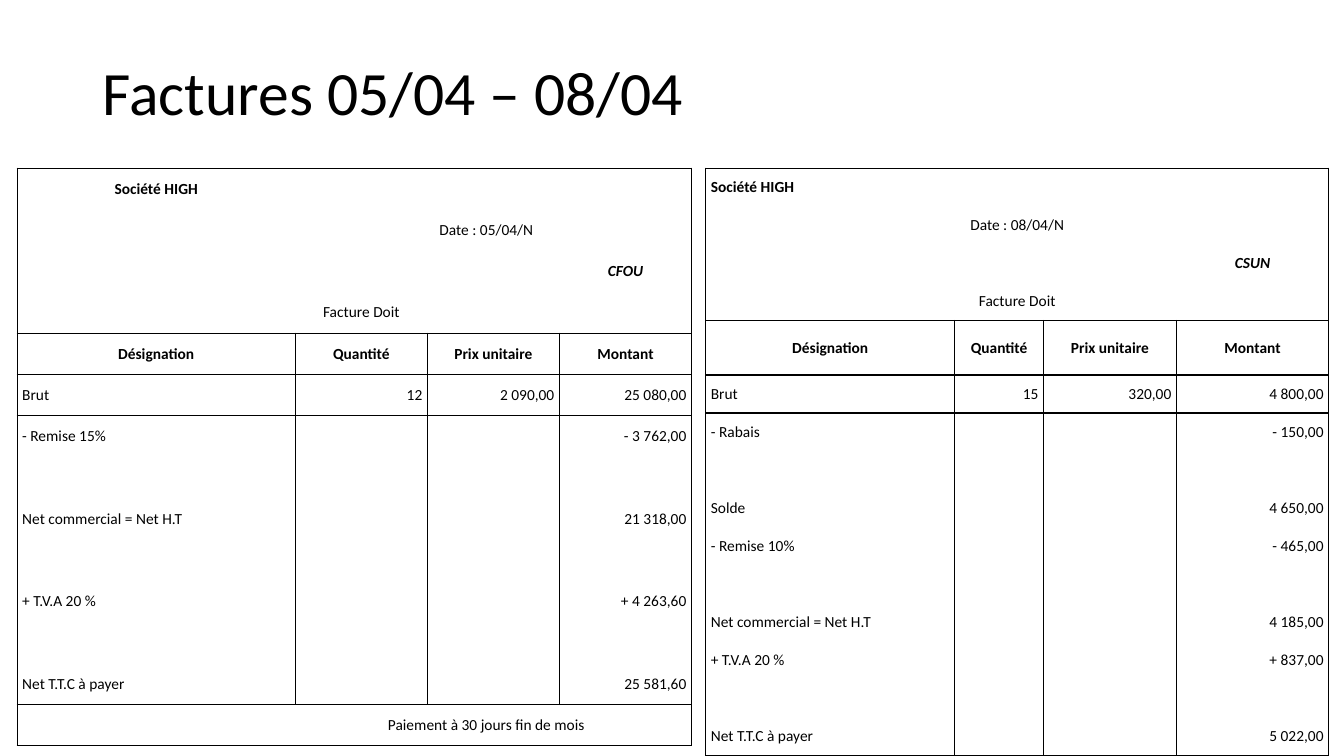
from lxml import etree
from pptx import Presentation
from pptx.dml.color import RGBColor
from pptx.enum.text import MSO_ANCHOR, PP_ALIGN
from pptx.oxml.ns import qn
from pptx.util import Inches, Pt

LEFT, CENTER, RIGHT = PP_ALIGN.LEFT, PP_ALIGN.CENTER, PP_ALIGN.RIGHT
MIDDLE = MSO_ANCHOR.MIDDLE
NO_STYLE = "{2D5ABB26-0587-4C30-8999-92F81FD0307C}"
PLAIN = {}
BOLD = {"bold": True}
CUSTOMER = {"bold": True, "italic": True}
HEADINGS = ["Désignation", "Quantité", "Prix unitaire", "Montant"]
HEADING_ROW = 4


def color(value):
    return RGBColor.from_string(value)


class InvoiceSlide:
    font = "Calibri"
    ink = "000000"
    size = 11

    def __init__(self, prs):
        self.s = prs.slides.add_slide(prs.slide_layouts[6])

    def add_text(self, p, text, align, **formats):
        p.alignment = align
        r = p.add_run()
        r.text = text
        for name, value in {"name": self.font, "size": Pt(self.size), **formats}.items():
            setattr(r.font, name, value)
        r.font.color.rgb = color(self.ink)

    def title(self, text, left, top, width, height):
        sp = self.s.shapes.add_textbox(*map(Inches, (left, top, width, height)))
        tf = sp.text_frame
        tf.word_wrap = True
        tf.vertical_anchor = MIDDLE
        tf.paragraphs[0].line_spacing = 0.9
        self.add_text(tf.paragraphs[0], text, LEFT, size=Pt(44))

    def borders(self, cell, sides):
        tcPr = cell._tc.get_or_add_tcPr()
        for side in "LRTB":
            if side in sides:
                ln = etree.SubElement(tcPr, qn(f"a:ln{side}"), w=str(Pt(1)))
                fill = etree.SubElement(ln, qn("a:solidFill"))
                etree.SubElement(fill, qn("a:srgbClr"), val=self.ink)
        cell.fill.background()

    def group(self, table, row, start, span, edges, gridded):
        end = start + span - 1
        last_col = len(table.columns) - 1
        across = ("T" if row in edges else "") + ("B" if row + 1 in edges else "")
        for col in range(start, end + 1):
            cell = table.cell(row, col)
            cell.vertical_anchor = MIDDLE
            cell.margin_left = cell.margin_right = Inches(0.05)
            cell.margin_top = cell.margin_bottom = 0
            sides = across
            if col == start and (gridded or start == 0):
                sides += "L"
            if col in (start, end) and (gridded or end == last_col):
                sides += "R"
            self.borders(cell, sides)
        if span > 1:
            table.cell(row, start).merge(table.cell(row, end))

    def invoice(self, left, top, widths, heights, rows, body_end):
        frame = self.s.shapes.add_table(
            len(rows), len(widths), Inches(left), Inches(top),
            Inches(sum(widths)), Inches(sum(heights)))
        table = frame.table
        table.first_row = table.horz_banding = False
        table._tbl.tblPr.find(qn("a:tableStyleId")).text = NO_STYLE
        for column, width in zip(table.columns, widths):
            column.width = Inches(width)
        for line, height in zip(table.rows, heights):
            line.height = Inches(height)
        edges = {0, HEADING_ROW, HEADING_ROW + 1, body_end, len(rows)}
        for row, (spans, texts, aligns, formats) in enumerate(rows):
            gridded = HEADING_ROW <= row < body_end
            start = 0
            for span, text, align in zip(spans, texts, aligns):
                self.group(table, row, start, span, edges, gridded)
                if text:
                    p = table.cell(row, start).text_frame.paragraphs[0]
                    self.add_text(p, text, align, **formats)
                start += span


def centered(spans, texts, formats=PLAIN):
    return spans, texts, [CENTER] * len(spans), formats


def body(spans, entries):
    aligns = [LEFT, RIGHT, RIGHT, RIGHT]
    return [(spans, [label, quantity, price, amount], aligns, PLAIN)
            for label, amount, quantity, price in
            (entry + ("",) * (4 - len(entry)) for entry in entries)]


def main():
    prs = Presentation()
    prs.slide_width, prs.slide_height = Inches(13.33), Inches(7.5)
    slide = InvoiceSlide(prs)
    slide.title("Factures 05/04 – 08/04", 0.92, 0.4, 11.5, 1.09)

    april_5 = [3, 1, 1, 1]
    offset = [1, 1, 4]
    rows = [
        centered(april_5, ["Société HIGH", "", "", ""], BOLD),
        centered(offset, ["", "", "Date : 05/04/N"]),
        centered(april_5, ["", "", "", "CFOU"], CUSTOMER),
        centered(april_5, ["", "Facture Doit", "", ""]),
        centered(april_5, HEADINGS, BOLD),
        *body(april_5, [
            ("Brut", "25 080,00", "12", "2 090,00"),
            ("- Remise 15%", "- 3 762,00"),
            (),
            ("Net commercial = Net H.T", "21 318,00"),
            (),
            ("+ T.V.A 20 %", "+ 4 263,60"),
            (),
            ("Net T.T.C à payer", "25 581,60"),
        ]),
        centered(offset, ["", "", "Paiement à 30 jours fin de mois"]),
    ]
    widths = [1.31, 1.31, 0.1, 1.31, 1.31, 1.31]
    slide.invoice(0.17, 1.67, widths, [5.73 / len(rows)] * len(rows), rows, len(rows) - 1)

    april_8 = [2, 2, 3, 1]
    rows = [
        ([1, 2, 3, 2], ["Société HIGH", "", "", ""], [LEFT] * 4, BOLD),
        centered([8], ["Date : 08/04/N"]),
        centered([2, 3, 2, 1], ["", "", "", "CSUN"], CUSTOMER),
        centered([8], ["Facture Doit"]),
        centered(april_8, HEADINGS, BOLD),
        *body(april_8, [
            ("Brut", "4 800,00", "15", "320,00"),
            ("- Rabais", "- 150,00"),
            (),
            ("Solde", "4 650,00"),
            ("- Remise 10%", "- 465,00"),
            (),
            ("Net commercial = Net H.T", "4 185,00"),
            ("+ T.V.A 20 %", "+ 837,00"),
            (),
            ("Net T.T.C à payer", "5 022,00"),
        ]),
    ]
    heights = [(5.83 - 0.54) / (len(rows) - 1)] * len(rows)
    heights[HEADING_ROW] = 0.54
    widths = [2.03] + [0.44] * 6 + [1.51]
    slide.invoice(7, 1.67, widths, heights, rows, len(rows))
    prs.save("out.pptx")


if __name__ == "__main__":
    main()
